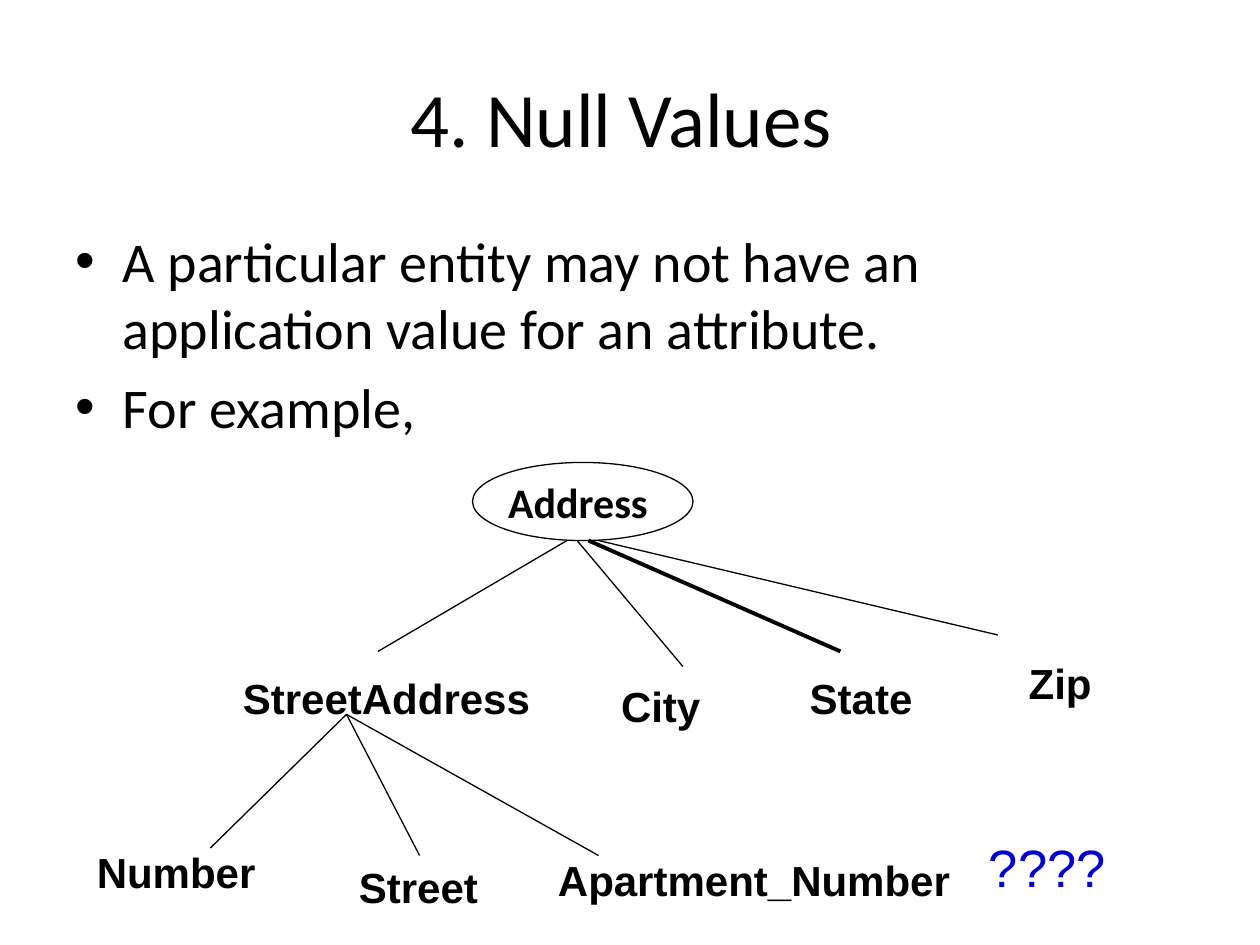
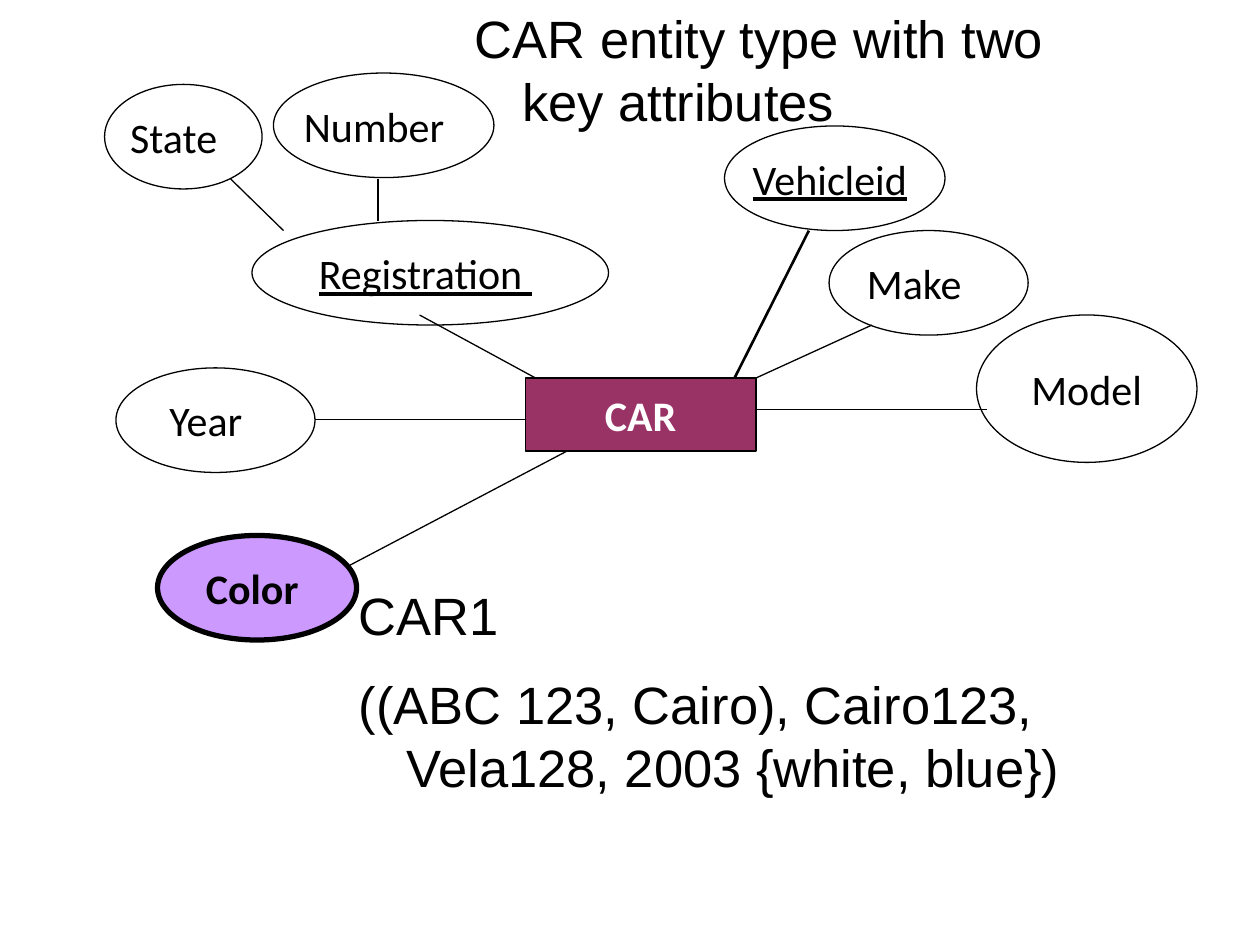
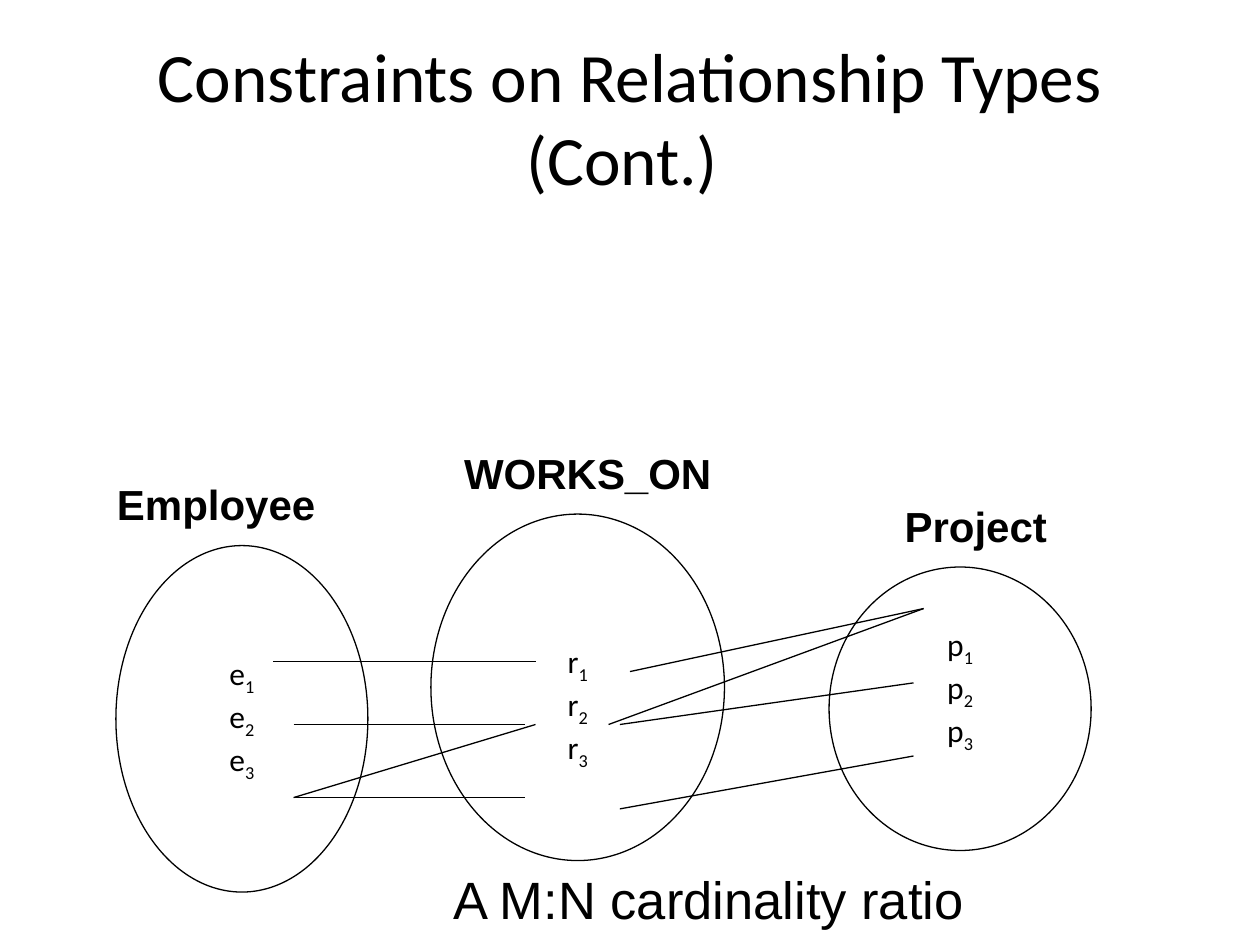
from collections import namedtuple
from pptx import Presentation
from pptx.dml.color import RGBColor
from pptx.enum.shapes import MSO_CONNECTOR, MSO_SHAPE
from pptx.enum.text import MSO_ANCHOR, PP_ALIGN
from pptx.oxml import parse_xml
from pptx.oxml.ns import nsdecls
from pptx.util import Inches, Pt

Theme = namedtuple("Theme", "ink paper plum lilac mark head tight body note label small sans serif")
look = Theme(
    ink=RGBColor(0, 0, 0), paper=RGBColor(255, 255, 255),
    plum=RGBColor(0x99, 0x33, 0x66), lilac=RGBColor(0xCC, 0x99, 0xFF),
    mark=RGBColor(0, 0, 0xCC),
    head=44, tight=39.6, body=32, note=30, label=24, small=18,
    sans="Arial", serif="Calibri")
OVAL = MSO_SHAPE.OVAL
HANG = Inches(0.375)


def put(tree, spot, text, size, font, kind=None, bold=False, tint=look.ink,
        fill=None, edge=0.75, mid=False, hang=True, gap=0):
    place = [Inches(n) for n in spot]
    if kind is None:
        box = tree.add_textbox(*place)
    else:
        box = tree.add_shape(kind, *place)
        box.shadow.inherit = False
        box.line.color.rgb = look.ink
        box.line.width = Pt(edge)
        if fill is None:
            box.fill.background()
        else:
            box.fill.solid()
            box.fill.fore_color.rgb = fill
    frame = box.text_frame
    frame.text = text
    frame.word_wrap = kind is None
    frame.vertical_anchor = MSO_ANCHOR.TOP if kind is None else MSO_ANCHOR.MIDDLE
    for n, para in enumerate(frame.paragraphs):
        para.alignment = PP_ALIGN.CENTER if mid or kind else PP_ALIGN.LEFT
        if n:
            para.space_before = Pt(gap)
        if hang:
            props = para._p.get_or_add_pPr()
            props.set("marL", str(HANG))
            props.set("indent", str(-HANG))
        for run in para.runs:
            run.font.size = Pt(size)
            run.font.name = font
            run.font.bold = bold
            run.font.color.rgb = tint
    return box


def join(tree, start, end, width=0.75):
    ends = [Inches(n) for n in start + end]
    link = tree.add_connector(MSO_CONNECTOR.STRAIGHT, *ends)
    link.line.color.rgb = look.ink
    link.line.width = Pt(width)
    link._element.spPr.append(parse_xml("<a:effectLst %s/>" % nsdecls("a")))


deck = Presentation()
deck.slide_width, deck.slide_height = Inches(10), Inches(7.5)
nulls, car, ratio = [deck.slides.add_slide(deck.slide_layouts[6]) for n in range(3)]

for slide, text, size in [
        (nulls, "4. Null Values ", look.head),
        (ratio, "Constraints on Relationship Types (Cont.) ", look.tight)]:
    title = put(slide.shapes, (0.5, 0.3, 9, 1.25), text, size, look.serif,
                mid=True, hang=False)
    title.text_frame.vertical_anchor = MSO_ANCHOR.MIDDLE

body = put(nulls.shapes, (0.5, 1.75, 9, 4.95),
           "A particular entity may not have an application value for an attribute. \n"
           "For example, ", look.body, look.serif, gap=6.4)
for para in body.text_frame.paragraphs:
    para._p.get_or_add_pPr().append(parse_xml('<a:buFont %s typeface="Arial"/>' % nsdecls("a")))
    para._p.get_or_add_pPr().append(parse_xml('<a:buChar %s char="\u2022"/>' % nsdecls("a")))

tree = nulls.shapes.add_group_shape().shapes
put(tree, (3.75, 3.67, 1.75, 0.62), "Address ", look.label, look.serif, OVAL, bold=True)
for start, end, width in [
        ((4.5, 4.29), (3, 5.17), 0.75),
        ((4.58, 4.29), (5.42, 5.29), 0.75),
        ((4.67, 4.29), (6.67, 5.17), 2.25),
        ((4.75, 4.29), (7.92, 5.04), 0.75)]:
    join(tree, start, end, width)
for end in [(1.67, 6.73), (3.33, 6.79), (4.75, 6.79)]:
    join(tree, (2.75, 5.67), end)
for text, left, top, width, mid in [
        ("StreetAddress", 1.83, 5.29, 2.83, False),
        ("City ", 4.33, 5.35, 1.92, True),
        ("State ", 6.17, 5.29, 1.42, True),
        ("Zip ", 7.75, 5.17, 1.42, True),
        ("Number", 0.67, 6.67, 2.5, False),
        ("Street ", 2.75, 6.79, 1.17, False),
        ("Apartment_Number", 4.33, 6.73, 3.5, False)]:
    put(tree, (left, top, width, 0.5), text, look.label, look.sans, bold=True, mid=mid)
put(nulls.shapes, (7.75, 6.58, 1.5, 0.6), "????", look.note, look.sans, tint=look.mark)

tree = car.shapes
put(tree, (4.17, 3, 1.83, 0.58), "CAR", look.label, look.serif, MSO_SHAPE.RECTANGLE,
    bold=True, tint=look.paper, fill=look.plum)
for text, spot, shift, key in [
        ("Vehicleid", (5.75, 1, 1.75, 0.83), 1, True),
        ("Registration ", (2, 1.75, 2.83, 0.83), 1, True),
        ("Number ", (2.17, 0.58, 1.75, 0.83), 1, False),
        ("State ", (0.83, 0.67, 1.25, 0.83), 1, False),
        ("Year ", (0.92, 2.92, 1.58, 0.83), 1, False),
        ("Model", (7.75, 2.5, 1.75, 1.17), 0, False),
        ("Make ", (6.58, 1.83, 1.58, 0.83), 2, False)]:
    oval = put(tree, spot, text, look.label, look.serif, OVAL)
    oval.text_frame.margin_right = Inches(0.1 + 0.075 * shift)
    oval.text_frame.paragraphs[0].runs[0].font.underline = key
put(tree, (1.25, 4.25, 1.58, 0.83), "Color ", look.label, look.serif, OVAL,
    bold=True, fill=look.lilac, edge=3)
for start, end in [
        ((3.33, 2.5), (4.25, 3)),
        ((3, 1.42), (3, 1.75)),
        ((1.83, 1.42), (2.25, 1.83)),
        ((2.5, 3.33), (4.17, 3.33)),
        ((4.5, 3.58), (2.75, 4.5)),
        ((6, 3.25), (7.83, 3.25)),
        ((6.92, 2.58), (6, 3))]:
    join(tree, start, end)
join(tree, (5.83, 3), (6.42, 1.83), 1.5)
put(tree, (3.67, 0, 4.75, 1.1), "CAR entity type with two key attributes ",
    look.note, look.sans)
put(tree, (2.75, 4.58, 6.42, 1.85),
    "CAR1\n((ABC 123, Cairo), Cairo123, Vela128, 2003 {white, blue})",
    look.note, look.sans, gap=15)

tree = ratio.shapes
for name, item, ring, label, mid, above, below in [
        ("Employee", "e", (0.92, 4.33, 2, 2.75), (0.83, 3.75, 2.17, 0.5), False, 0.05, 0.05),
        ("WORKS_ON", "r", (3.42, 4.08, 2.33, 2.75), (3.33, 3.5, 2.67, 0.5), True, 0.35, 0.05),
        ("Project", "p", (6.58, 4.5, 2.08, 2.25), (6.58, 3.92, 2.33, 0.5), True, 0.05, 0.35)]:
    oval = put(tree, ring, "\n".join([item] * 3), look.small, look.serif, OVAL)
    frame = oval.text_frame
    frame.margin_top, frame.margin_bottom = Inches(above), Inches(below)
    for n, para in enumerate(frame.paragraphs, 1):
        low = para.add_run()
        low.text = str(n)
        low.font.size = Pt(look.small)
        low.font.name = look.serif
        low.font.color.rgb = look.ink
        low.font._element.set("baseline", "-25000")
    put(tree, label, name, look.label, look.sans, bold=True, mid=mid)
for start, end in [
        ((2.17, 5.25), (4.25, 5.25)),
        ((2.33, 5.75), (4.17, 5.75)),
        ((2.33, 6.33), (4.17, 6.33)),
        ((2.33, 6.33), (4.25, 5.75)),
        ((7.25, 5.42), (4.92, 5.75)),
        ((7.33, 4.83), (5, 5.33)),
        ((7.33, 4.83), (4.83, 5.75)),
        ((4.92, 6.42), (7.25, 6))]:
    join(tree, start, end)
put(tree, (3.5, 6.83, 4.83, 0.6), "A M:N cardinality ratio", look.note, look.sans)

deck.save("out.pptx")
